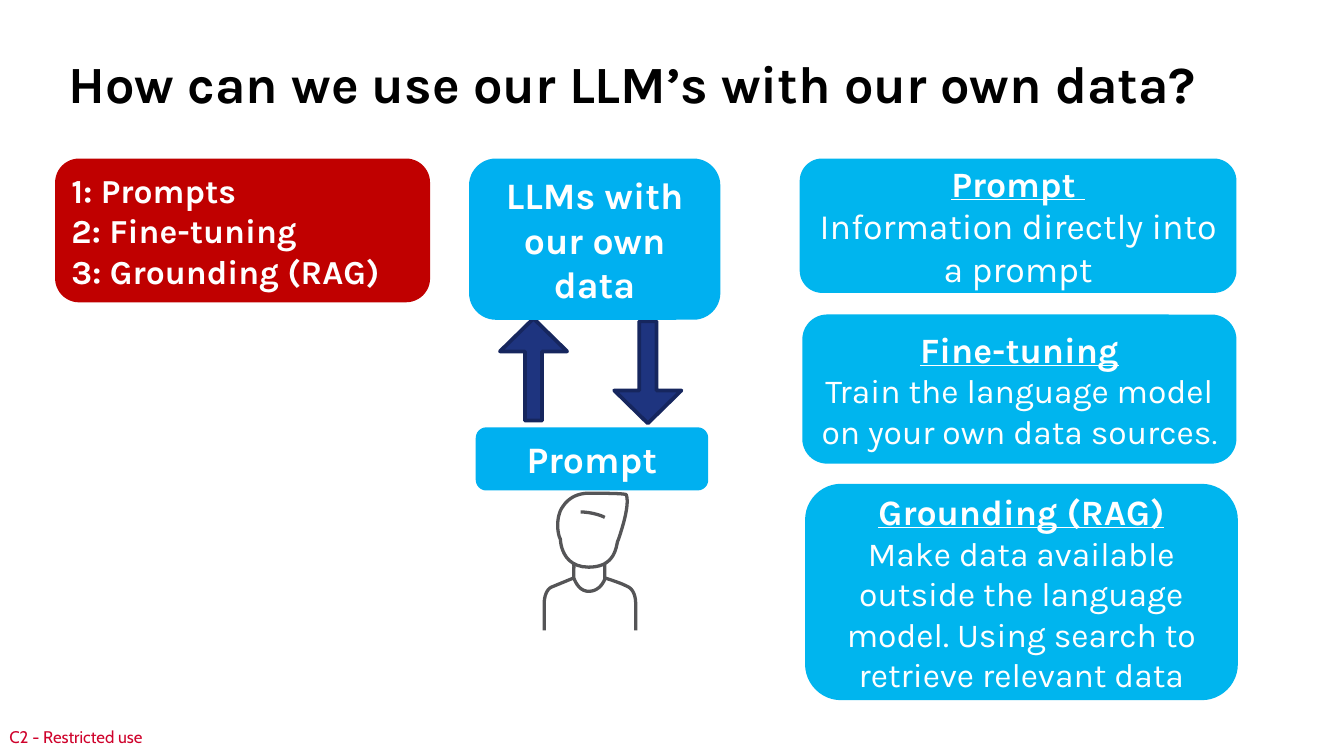
from dataclasses import dataclass

from pptx import Presentation
from pptx.dml.color import RGBColor
from pptx.enum.shapes import MSO_SHAPE as Preset
from pptx.enum.text import MSO_ANCHOR as Anchor, MSO_AUTO_SIZE as AutoSize, PP_ALIGN as Align
from pptx.util import Inches, Pt


@dataclass(frozen=True)
class Theme:
    """Colours, fonts and type sizes of the slide."""
    font: str = "Karla"
    label_font: str = "Cabin"
    black: str = "000000"
    white: str = "FFFFFF"
    blue: str = "00B0F0"
    card_blue: str = "00B5EE"
    red: str = "C00000"
    label_red: str = "CF022B"
    arrow: str = "1E347F"
    arrow_line: str = "16265E"
    figure: str = "555557"
    title: float = 28
    box: float = 20
    heading: float = 19.1
    body: float = 18
    stop: float = 16
    label: float = 9


THEME = Theme()

CARDS = [
    ((5.99, 3.6, 3.22, 1.61),
     "Grounding (RAG)\nMake data available outside the language model. "
     "Using search to retrieve relevant data", THEME.body, ""),
    ((5.97, 2.34, 3.23, 1.11),
     "Fine-tuning\nTrain the language model on your own data sources", THEME.body, "."),
    ((5.95, 1.18, 3.25, 1), "Prompt \vInformation directly into a prompt", THEME.heading, ""),
]

HEAD = [(4.38, 3.67), (4.28, 3.67), (4.21, 3.72), (4.17, 3.8),
        (4.13, 3.9), (4.16, 4), (4.17, 4.01),
        (4.17, 4.03), (4.18, 4.22), (4.38, 4.22),
        (4.47, 4.22), (4.52, 4.19), (4.55, 4.15),
        (4.59, 4.1), (4.59, 4.03), (4.6, 4.02),
        (4.62, 3.96), (4.69, 3.76), (4.66, 3.68),
        (4.63, 3.67), (4.46, 3.67), (4.38, 3.67)]
RIGHT_SHOULDER = [(4.5, 4.3), (4.5, 4.3), (4.63, 4.34), (4.68, 4.37),
                  (4.73, 4.4), (4.73, 4.48), (4.73, 4.48),
                  (4.73, 4.48), (4.73, 4.69), (4.73, 4.69)]
NECK = [(4.5, 4.19), (4.5, 4.19), (4.5, 4.31), (4.5, 4.31),
        (4.5, 4.31), (4.47, 4.4), (4.38, 4.4),
        (4.3, 4.4), (4.27, 4.3), (4.27, 4.3)]
FRINGE = [(4.32, 3.81), (4.32, 3.81), (4.42, 3.81), (4.5, 3.85)]
LEFT_SHOULDER = [(4.27, 4.19), (4.27, 4.19), (4.27, 4.3), (4.27, 4.3),
                 (4.27, 4.3), (4.15, 4.35), (4.1, 4.37),
                 (4.05, 4.4), (4.05, 4.48), (4.05, 4.48),
                 (4.05, 4.48), (4.05, 4.69), (4.05, 4.69)]


def inches(values):
    """Convert a sequence of numbers to lengths."""
    return [Inches(value) for value in values]


def style_run(run, size, color, bold=False, underline=False, font=THEME.font):
    """Format one run of text."""
    run.font.name = font
    run.font.size = Pt(size)
    run.font.color.rgb = RGBColor.from_string(color)
    run.font.bold = bold
    run.font.underline = underline


def add_title(slide, text):
    """Fill and place the title placeholder."""
    title = slide.shapes.title
    title.left, title.top, title.width, title.height = inches((0.41, 0.2, 9.17, 0.7))
    frame = title.text_frame
    frame.text = text
    frame.auto_size = AutoSize.NONE
    frame.vertical_anchor = Anchor.BOTTOM
    frame.paragraphs[0].alignment = Align.LEFT
    style_run(frame.paragraphs[0].runs[0], THEME.title, THEME.black, bold=True)


def add_label(slide, text):
    """Add the classification label at the foot of the slide."""
    frame = slide.shapes.add_textbox(*inches((0.07, 5.41, 1.13, 0.15))).text_frame
    frame.margin_left = frame.margin_right = frame.margin_top = frame.margin_bottom = 0
    frame.text = text
    style_run(frame.paragraphs[0].runs[0], THEME.label, THEME.label_red, font=THEME.label_font)


def add_box(slide, place, text, fill, size, align=Align.CENTER):
    """Add a rounded box with bold white text and return its text frame."""
    shape = slide.shapes.add_shape(Preset.ROUNDED_RECTANGLE, *inches(place))
    shape.shadow.inherit = False
    shape.fill.solid()
    shape.fill.fore_color.rgb = RGBColor.from_string(fill)
    shape.line.fill.background()
    frame = shape.text_frame
    frame.word_wrap = True
    frame.vertical_anchor = Anchor.MIDDLE
    frame.margin_left = frame.margin_right = Inches(0.07)
    frame.margin_top = frame.margin_bottom = Inches(0.04)
    frame.text = text
    for paragraph in frame.paragraphs:
        paragraph.alignment = align
        for run in paragraph.runs:
            style_run(run, size, THEME.white, bold=True)
    return frame


def add_card(slide, place, text, body_size, stop):
    """Add a box with an underlined heading above plain body text."""
    frame = add_box(slide, place, text, THEME.card_blue, THEME.heading)
    frame.paragraphs[0].runs[0].font.underline = True
    last = frame.paragraphs[-1]
    style_run(last.runs[-1], body_size, THEME.white)
    if stop:
        run = last.add_run()
        run.text = stop
        style_run(run, THEME.stop, THEME.white)


def add_arrow(slide, left, top, rotation=0):
    """Add a block arrow that points up before its rotation."""
    arrow = slide.shapes.add_shape(Preset.UP_ARROW, *inches((left, top, 0.5, 0.76)))
    arrow.adjustments[0], arrow.adjustments[1] = 0.255, 0.49
    arrow.rotation = rotation
    arrow.shadow.inherit = False
    arrow.fill.solid()
    arrow.fill.fore_color.rgb = RGBColor.from_string(THEME.arrow)
    arrow.line.color.rgb = RGBColor.from_string(THEME.arrow_line)
    arrow.line.width = Pt(2)


def curve_points(controls, steps=12):
    """Sample a chain of cubic curves that share their end points."""
    points = [controls[0]]
    for start in range(0, len(controls) - 1, 3):
        segment = controls[start:start + 4]
        for step in range(1, steps + 1):
            t = step / steps
            weights = ((1 - t) ** 3, 3 * t * (1 - t) ** 2, 3 * t * t * (1 - t), t ** 3)
            points.append(tuple(sum(w * p[axis] for w, p in zip(weights, segment))
                                for axis in (0, 1)))
    return points


def add_person(slide):
    """Draw the line figure of a user as one group."""
    group = slide.shapes.add_group_shape()
    for controls in (HEAD, RIGHT_SHOULDER, NECK, FRINGE, LEFT_SHOULDER):
        start, *points = [inches(point) for point in curve_points(controls)]
        builder = group.shapes.build_freeform(*start)
        builder.add_line_segments(points, close=controls is HEAD)
        stroke = builder.convert_to_shape()
        stroke.shadow.inherit = False
        stroke.fill.background()
        stroke.line.color.rgb = RGBColor.from_string(THEME.figure)
        stroke.line.width = Pt(1.75)


def main():
    """Build the slide and save it."""
    presentation = Presentation()
    presentation.slide_width = Inches(10)
    presentation.slide_height = Inches(10 * 9 / 16)
    slide = presentation.slides.add_slide(presentation.slide_layouts[5])
    add_label(slide, "C2 - Restricted use")
    add_title(slide, "How can we use our LLM’s with our own data?")
    add_box(slide, (3.54, 3.18, 1.73, 0.47), "Prompt", THEME.blue, THEME.box)
    add_arrow(slide, 3.72, 2.37)
    add_arrow(slide, 4.57, 2.39, rotation=180)
    add_box(slide, (3.49, 1.18, 1.87, 1.2), "LLMs with our own data", THEME.blue, THEME.box)
    add_box(slide, (0.41, 1.18, 2.79, 1.07), "1: Prompts\n2: Fine-tuning\n3: Grounding (RAG)",
            THEME.red, THEME.body, Align.LEFT)
    for card in CARDS:
        add_card(slide, *card)
    add_person(slide)
    presentation.save("out.pptx")


if __name__ == "__main__":
    main()
